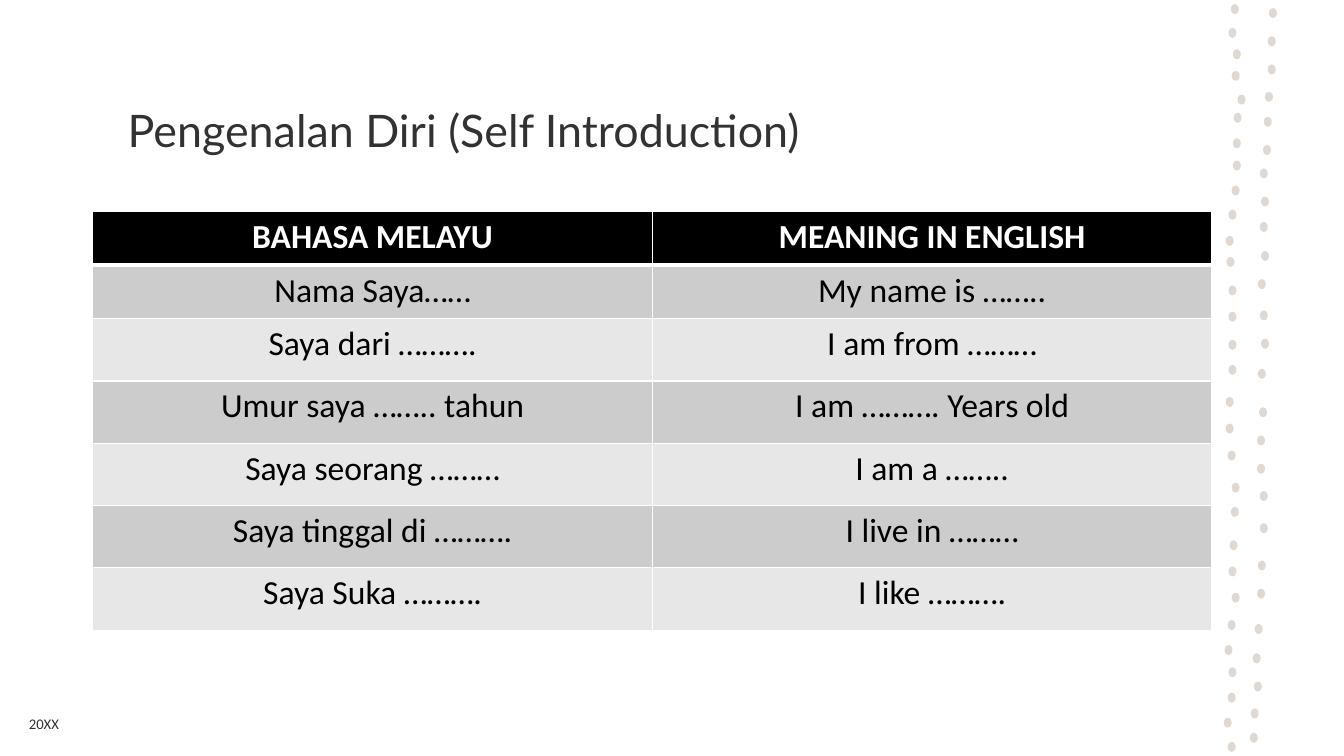
import lxml.etree
import pptx
import pptx.dml.color
import pptx.enum.shapes
import pptx.enum.text
import pptx.oxml.ns
import pptx.util

Cm = pptx.util.Cm
COLORS = {
    "text": "323232",
    "dot": "E0D8D2",
    "header": "000000",
    "band_dark": "CCCCCC",
    "band_light": "E7E7E7",
    "white": "FFFFFF",
    "black": "000000",
}


def style_font(font, name, size, color, bold=False):
    font.name = name
    font.size = pptx.util.Pt(size)
    font.bold = bold
    font.color.rgb = pptx.dml.color.RGBColor.from_string(COLORS[color])


def add_cell_border(cell, side, points):
    """Draw a white line on one side (L, R, T or B); call before filling the cell."""
    properties = cell._tc.get_or_add_tcPr()
    line = lxml.etree.SubElement(
        properties, pptx.oxml.ns.qn(f"a:ln{side}"), w=str(pptx.util.Pt(points))
    )
    fill = lxml.etree.SubElement(line, pptx.oxml.ns.qn("a:solidFill"))
    lxml.etree.SubElement(fill, pptx.oxml.ns.qn("a:srgbClr"), val=COLORS["white"])


presentation = pptx.Presentation()
presentation.slide_width = Cm(33.87)
presentation.slide_height = Cm(19.05)
slide = presentation.slides.add_slide(presentation.slide_layouts[6])

# Two wavering columns of dots, given by their centres in centimetres
left_dots = [
    (31.12, 0.23), (31.06, 0.83), (31.17, 1.37), (31.14, 1.91), (31.29, 2.51),
    (31.19, 2.97), (31.17, 3.61), (31.17, 4.17), (31.14, 4.8), (31.06, 5.41),
    (30.99, 6.07), (31.01, 6.6), (31.06, 7.32), (31.06, 7.98), (31.06, 8.69),
    (31.06, 9.32), (30.99, 10.13), (30.99, 10.8), (31.04, 11.48), (31.14, 12.29),
    (31.12, 12.9), (31.09, 13.74), (31.06, 14.4), (31.14, 15.06), (31.04, 15.75),
    (30.96, 16.38), (31.06, 16.94), (31.04, 17.58), (30.94, 18.21), (31.04, 18.82),
]
right_dots = [
    (32.08, 0.33), (32.05, 1.04), (32.05, 1.75), (31.98, 2.44), (31.95, 3.07),
    (31.93, 3.78), (31.85, 4.37), (31.88, 5.08), (31.85, 5.72), (31.88, 6.45),
    (31.8, 7.16), (31.85, 7.95), (31.88, 8.66), (31.8, 9.42), (31.83, 10.39),
    (31.78, 11.1), (31.78, 11.81), (31.85, 12.5), (31.85, 13.31), (31.8, 14.25),
    (31.78, 14.96), (31.72, 15.85), (31.67, 16.59), (31.7, 17.3), (31.62, 17.98),
    (31.6, 18.59),
]
dot_width, dot_height = 0.2, 0.25
for x, y in left_dots + right_dots:
    dot = slide.shapes.add_shape(
        pptx.enum.shapes.MSO_SHAPE.OVAL,
        Cm(x - dot_width / 2), Cm(y - dot_height / 2), Cm(dot_width), Cm(dot_height),
    )
    dot.shadow.inherit = False
    dot.fill.solid()
    dot.fill.fore_color.rgb = pptx.dml.color.RGBColor.from_string(COLORS["dot"])
    dot.line.fill.background()

# Title and date
labels = [
    ("Pengenalan Diri (Self Introduction)", "Lato", 32, (2.97, 1.27, 20.35, 4.01)),
    ("20XX", "Calibri", 10.5, (0.48, 17.73, 7.9, 1.02)),
]
for text, font_name, size, box in labels:
    label = slide.shapes.add_textbox(*[Cm(length) for length in box])
    label.text_frame.word_wrap = True
    label.text_frame.vertical_anchor = pptx.enum.text.MSO_ANCHOR.MIDDLE
    paragraph = label.text_frame.paragraphs[0]
    paragraph.text = text
    style_font(paragraph.font, font_name, size, "text")

# Phrase table
phrases = [
    ("BAHASA MELAYU", "MEANING IN ENGLISH"),
    ("Nama Saya……", "My name is …….."),
    ("Saya dari ……….", "I am from ………"),
    ("Umur saya …….. tahun", "I am ………. Years old"),
    ("Saya seorang ………", "I am a …….."),
    ("Saya tinggal di ……….", "I live in ………"),
    ("Saya Suka ……….", "I like ………."),
]
table = slide.shapes.add_table(
    len(phrases), 2, Cm(2.34), Cm(5.33), Cm(28.2), Cm(10.55)
).table
for column in table.columns:
    column.width = Cm(14.1)

for row_index, row_texts in enumerate(phrases):
    is_header = row_index == 0
    table.rows[row_index].height = Cm(1.35 if row_index < 2 else 1.57)
    if is_header:
        fill_color = "header"
    else:
        fill_color = "band_dark" if row_index % 2 else "band_light"
    for column_index, text in enumerate(row_texts):
        cell = table.cell(row_index, column_index)
        for side in "LRTB":
            touches_header_line = (row_index, side) in [(0, "B"), (1, "T")]
            add_cell_border(cell, side, 3 if touches_header_line else 1)
        cell.fill.solid()
        cell.fill.fore_color.rgb = pptx.dml.color.RGBColor.from_string(COLORS[fill_color])
        paragraph = cell.text_frame.paragraphs[0]
        paragraph.text = text
        paragraph.alignment = pptx.enum.text.PP_ALIGN.CENTER
        style_font(paragraph.font, "Calibri", 24, "white" if is_header else "black", is_header)

presentation.save("out.pptx")
